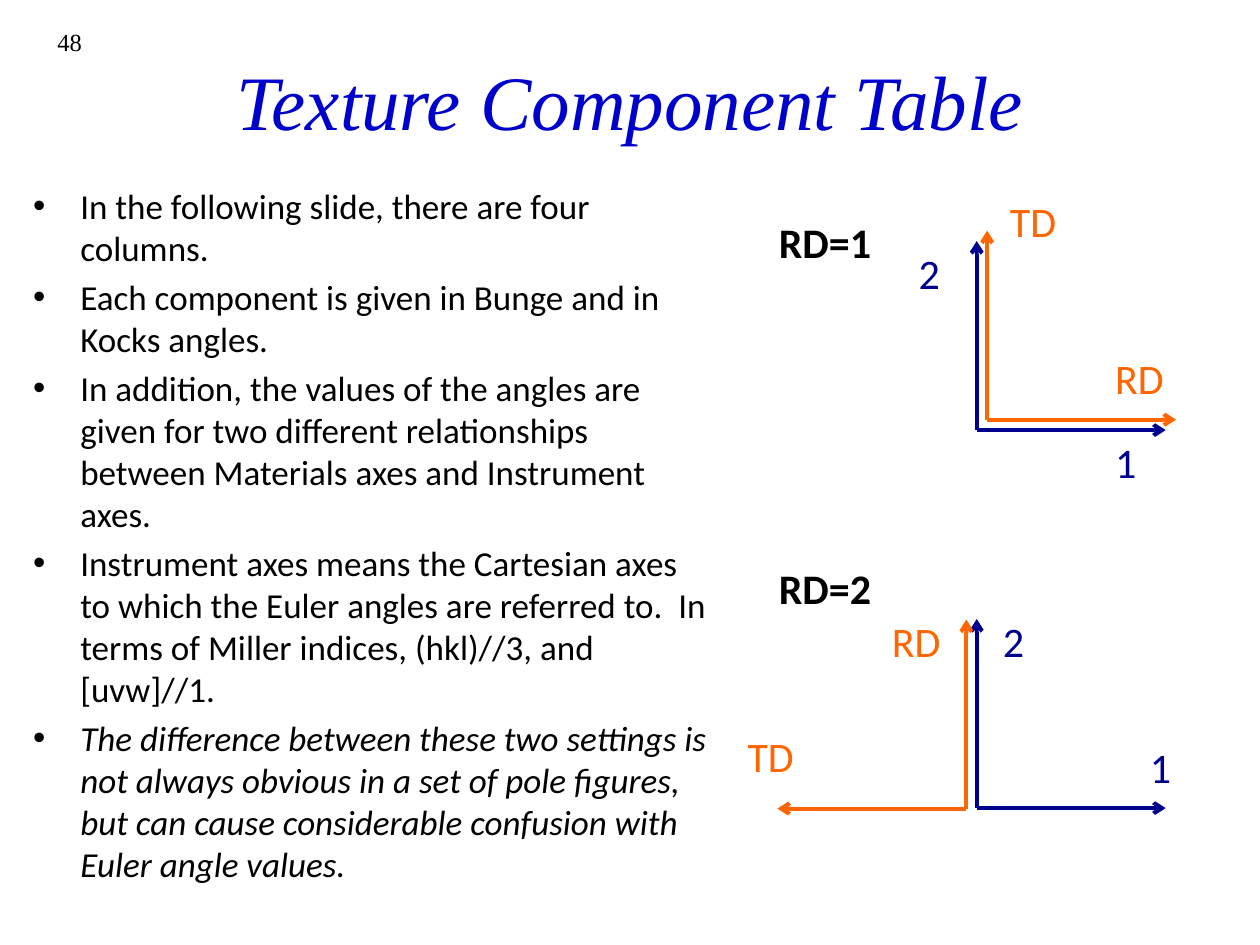
from lxml.etree import SubElement
from pptx import Presentation
from pptx.dml.color import RGBColor
from pptx.enum.shapes import MSO_CONNECTOR
from pptx.enum.text import MSO_ANCHOR, PP_ALIGN
from pptx.oxml.ns import qn
from pptx.util import Cm, Pt

BLACK = RGBColor(0x00, 0x00, 0x00)
BLUE = RGBColor(0x00, 0x00, 0xCC)
NAVY = RGBColor(0x00, 0x00, 0x90)
ORANGE = RGBColor(0xFF, 0x66, 0x00)
SERIF, SANS = "Times New Roman", "Calibri"

TITLE = "Texture Component Table"
NUMBER = "48"
POINTS = [
    "In the following slide, there are four columns.",
    "Each component is given in Bunge and in Kocks angles.",
    "In addition, the values of the angles are given for two different "
    "relationships between Materials axes and Instrument axes.",
    "Instrument axes means the Cartesian axes to which the Euler angles are "
    "referred to.  In terms of Miller indices, (hkl)//3, and [uvw]//1.",
    "The difference between these two settings is not always obvious in a set "
    "of pole figures, but can cause considerable confusion with Euler angle values.",
]
LABELS = [
    ("RD=1", 15.45, 4.23, BLACK),
    ("RD=2", 15.45, 11.22, BLACK),
    ("RD", 17.73, 12.28, ORANGE),
    ("RD", 22.23, 6.99, ORANGE),
    ("TD", 14.82, 14.61, ORANGE),
    ("TD", 20.11, 3.81, ORANGE),
    ("2", 18.27, 4.87, NAVY),
    ("2", 19.97, 12.28, NAVY),
    ("1", 22.93, 14.82, NAVY),
    ("1", 22.23, 8.68, NAVY),
]
WIDTHS = {"RD=1": 2.4, "RD=2": 2.4, "RD": 1.5, "TD": 1.45, "1": 0.94, "2": 0.94}
AXES = [
    (19.69, 8.67, 1, NAVY),
    (19.69, 16.29, 1, NAVY),
    (19.48, 16.3, -1, ORANGE),
    (19.9, 8.46, 1, ORANGE),
]
REACH = 3.81


def style(par, face, size, color, bold=False, italic=False):
    for run in par.runs:
        font = run.font
        font.name, font.size = face, Pt(size)
        font.bold, font.italic = bold, italic
        font.color.rgb = color


def add_text(slide, text, left, top, width, height, wrap=True):
    box = slide.shapes.add_textbox(Cm(left), Cm(top), Cm(width), Cm(height))
    frame = box.text_frame
    frame.text = text
    frame.word_wrap = wrap
    return frame


def add_points(slide):
    frame = add_text(slide, "\n".join(POINTS), 0.42, 3.6, 14.18, 14.6)
    for index, par in enumerate(frame.paragraphs):
        props = par._p.get_or_add_pPr()
        props.set("marL", str(Cm(0.95)))
        props.set("indent", str(-Cm(0.95)))
        SubElement(props, qn("a:buFont")).set("typeface", "Arial")
        SubElement(props, qn("a:buChar")).set("char", "•")
        if index:
            par.space_before = Pt(4)
        style(par, SANS, 20, BLACK, italic=index == len(POINTS) - 1)


def add_arrow(slide, x, y, tip_x, tip_y, color):
    ends = [Cm(v) for v in (x, y, tip_x, tip_y)]
    arrow = slide.shapes.add_connector(MSO_CONNECTOR.STRAIGHT, *ends)
    arrow.line.color.rgb = color
    arrow.line.width = Pt(2.25)
    SubElement(arrow.line._get_or_add_ln(), qn("a:tailEnd")).set("type", "arrow")
    SubElement(arrow._element.spPr, qn("a:effectLst"))


def main():
    deck = Presentation()
    deck.slide_width, deck.slide_height = Cm(25.4), Cm(19.05)
    slide = deck.slides.add_slide(deck.slide_layouts[6])

    frame = add_text(slide, TITLE, 1.9, 0.42, 21.6, 3.18)
    frame.vertical_anchor = MSO_ANCHOR.MIDDLE
    frame.paragraphs[0].alignment = PP_ALIGN.CENTER
    style(frame.paragraphs[0], SERIF, 44, BLUE, italic=True)

    add_points(slide)

    frame = add_text(slide, NUMBER, 0, 0.42, 1.9, 1.27)
    frame.paragraphs[0].alignment = PP_ALIGN.RIGHT
    style(frame.paragraphs[0], SERIF, 14, BLACK)

    for x, y, side, color in AXES:
        add_arrow(slide, x, y, x + side * REACH, y, color)
        add_arrow(slide, x, y, x, y - REACH, color)

    for text, left, top, color in LABELS:
        frame = add_text(slide, text, left, top, WIDTHS[text], 1.27, wrap=False)
        style(frame.paragraphs[0], SANS, 24, color, bold=color == BLACK)

    deck.save("out.pptx")


if __name__ == "__main__":
    main()
